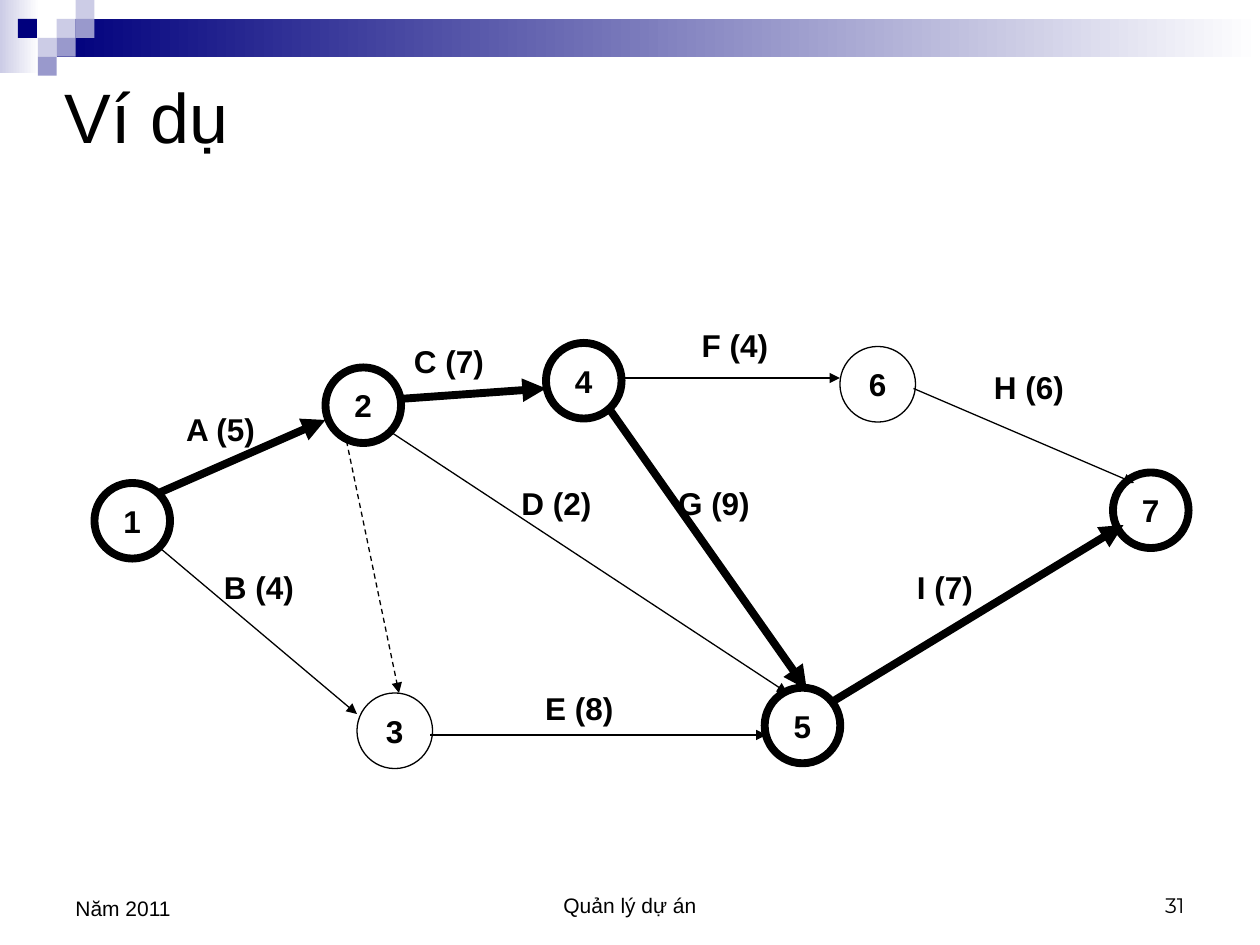
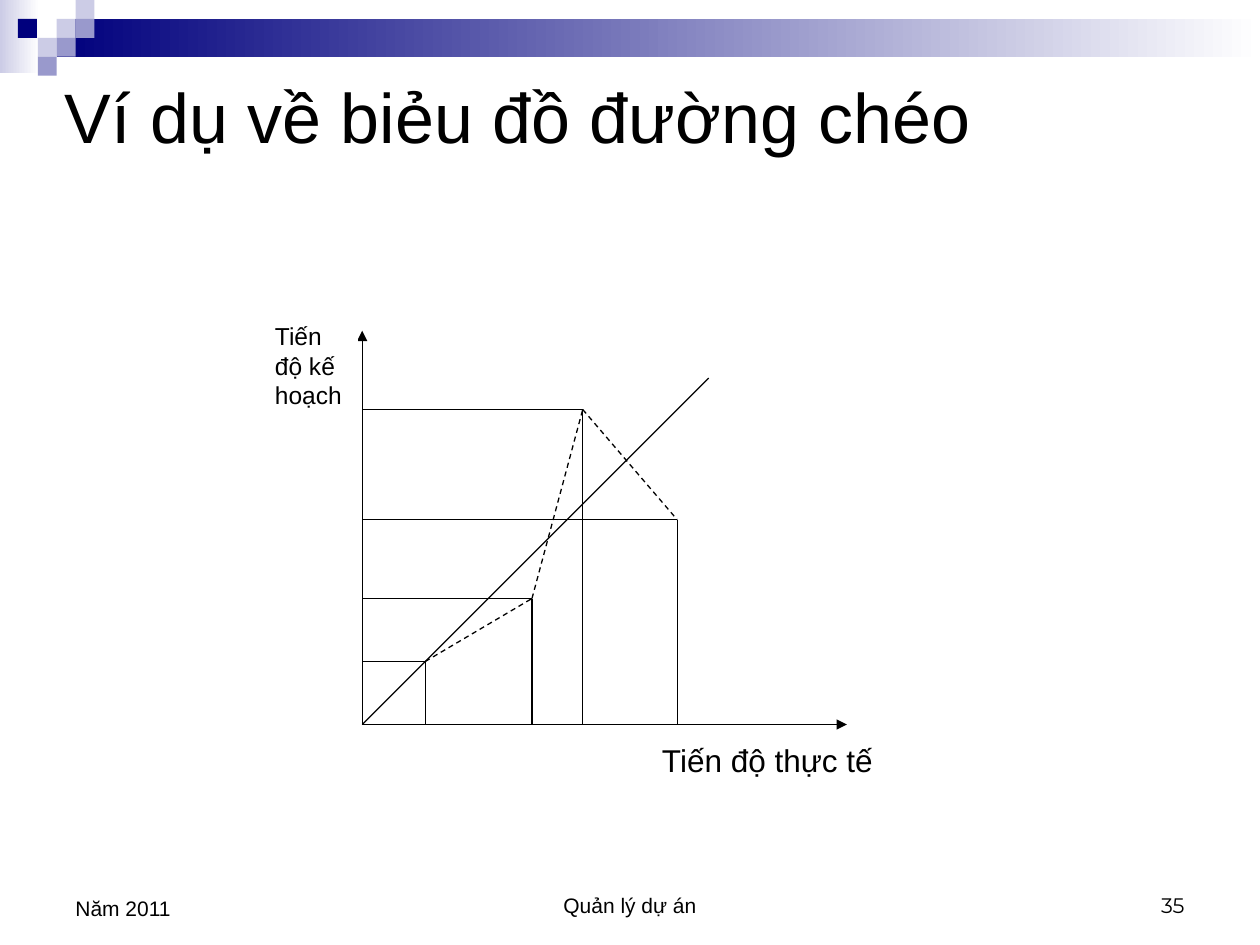
from itertools import pairwise

from lxml.etree import SubElement
from pptx import Presentation
from pptx.dml.color import RGBColor
from pptx.enum.dml import MSO_LINE_DASH_STYLE as Dash
from pptx.enum.shapes import MSO_CONNECTOR_TYPE as Connector, MSO_SHAPE as Shape
from pptx.enum.text import MSO_ANCHOR as Anchor, PP_ALIGN as Align
from pptx.oxml.ns import qn
from pptx.util import Pt

BLACK, WHITE = "000000", "FFFFFF"
NAVY, MID, LIGHT = "00007D", "9999CC", "CCCCE6"
SQUARE = 10.8
THIN, CRITICAL = 0.75, 4.5
NODE_SIZE = 43.2
LABEL_WIDTH = 72

BAND_SQUARES = [
    (3, 1, LIGHT), (4, 0, LIGHT), (4, 1, MID), (2, 2, LIGHT),
    (0.95, 1, NAVY), (3, 2, MID), (2, 3, MID),
]
NODES = [
    ("3", 204, 396, THIN), ("5", 437, 393, CRITICAL),
    ("1", 54, 276, CRITICAL), ("4", 312, 196, CRITICAL),
    ("2", 186, 210, CRITICAL), ("6", 480, 198, THIN),
    ("7", 636, 270, CRITICAL),
]
ACTIVITIES = [
    ((90, 282), (186, 240), CRITICAL, "A (5)", (126, 231)),
    ((90, 312), (204, 408), THIN, "B (4)", (148, 321)),
    ((228, 228), (312, 222), CRITICAL, "C (7)", (256.5, 192)),
    ((222, 246), (450, 396), THIN, "D (2)", (318, 273)),
    ((246, 420), (438, 420), THIN, "E (8)", (331, 390)),
    ((354, 216), (480, 216), THIN, "F (4)", (420, 183)),
    ((347, 232), (461, 394), CRITICAL, "G (9)", (408, 273)),
    ((522, 222), (648, 276), THIN, "H (6)", (588, 207)),
    ((474, 402), (642, 300), CRITICAL, "I (7)", (540, 321)),
]
ORIGIN_X, ORIGIN_Y = 207, 414
AXIS_WIDTH, AXIS_HEIGHT, DIAGONAL = 277, 225, 198
MILESTONES = [(36, 36), (97, 72), (126, 180), (180, 117)]


def color(hex_code):
    return RGBColor.from_string(hex_code)


def write_text(shape, text, size=18, font="Arial", bold=False,
               align=Align.CENTER, anchor=Anchor.TOP, wrap=True):
    frame = shape.text_frame
    frame.word_wrap = wrap
    frame.vertical_anchor = anchor
    paragraph = frame.paragraphs[0]
    paragraph.text = text
    paragraph.alignment = align
    paragraph.font.size = Pt(size)
    paragraph.font.name = font
    paragraph.font.bold = bold
    paragraph.font.color.rgb = color(BLACK)


def add_text(slide, text, left, top, width, height, **text_format):
    box = slide.shapes.add_textbox(Pt(left), Pt(top), Pt(width), Pt(height))
    write_text(box, text, **text_format)


def add_shape(slide, kind, left, top, width, height, fill,
              fade_to=None, line=None, weight=THIN):
    shape = slide.shapes.add_shape(kind, Pt(left), Pt(top), Pt(width), Pt(height))
    shape.shadow.inherit = False
    if fade_to:
        shape.fill.gradient()
        shape.fill.gradient_angle = 0
        for stop, stop_color in zip(shape.fill.gradient_stops, (fill, fade_to)):
            stop.color.rgb = color(stop_color)
    else:
        shape.fill.solid()
        shape.fill.fore_color.rgb = color(fill)
    if line:
        shape.line.color.rgb = color(line)
        shape.line.width = Pt(weight)
    else:
        shape.line.fill.background()
    return shape


def add_line(slide, start, end, weight=THIN, dashed=False, arrow=False):
    connector = slide.shapes.add_connector(
        Connector.STRAIGHT, *(Pt(value) for value in (*start, *end)))
    connector.line.color.rgb = color(BLACK)
    connector.line.width = Pt(weight)
    if dashed:
        connector.line.dash_style = Dash.DASH
    if arrow:
        SubElement(connector.line._get_or_add_ln(), qn("a:tailEnd"), type="triangle")
    SubElement(connector._element.spPr, qn("a:effectLst"))


def add_band(slide):
    add_shape(slide, Shape.RECTANGLE, 0, 0, 22.5, 42, LIGHT, fade_to=WHITE)
    add_shape(slide, Shape.RECTANGLE, 3 * SQUARE, SQUARE, 720 - 3 * SQUARE,
              2 * SQUARE, NAVY, fade_to=WHITE)
    for column, row, fill in BAND_SQUARES:
        add_shape(slide, Shape.RECTANGLE, column * SQUARE, row * SQUARE,
                  SQUARE, SQUARE, fill)


def add_base_slide(presentation, title, number):
    slide = presentation.slides.add_slide(presentation.slide_layouts[6])
    add_band(slide)
    footer = {"size": 12, "anchor": Anchor.BOTTOM}
    add_text(slide, "Quản lý dự án", 246, 492, 228, 36, **footer)
    add_text(slide, number, 516, 492, 168, 36, font="Montserrat",
             align=Align.RIGHT, **footer)
    add_text(slide, "Năm 2011", 36, 492, 168, 37.5, align=Align.LEFT, **footer)
    add_text(slide, title, 30, 12, 648, 108, size=40, align=Align.LEFT,
             anchor=Anchor.MIDDLE)
    return slide


def add_node(slide, name, left, top, weight):
    node = add_shape(slide, Shape.OVAL, left, top, NODE_SIZE, NODE_SIZE,
                     WHITE, line=BLACK, weight=weight)
    write_text(node, name, bold=True, anchor=Anchor.MIDDLE, wrap=False)


def add_network(slide):
    for node in NODES:
        add_node(slide, *node)
    for start, end, weight, label, (center, top) in ACTIVITIES:
        add_line(slide, start, end, weight, arrow=True)
        add_text(slide, label, center - LABEL_WIDTH / 2, top, LABEL_WIDTH, 29,
                 bold=True, wrap=False)
    add_line(slide, (198, 252), (228, 396), dashed=True, arrow=True)


def plot_point(actual, planned):
    return ORIGIN_X + actual, ORIGIN_Y - planned


def add_diagonal_diagram(slide):
    origin = plot_point(0, 0)
    add_line(slide, origin, plot_point(0, AXIS_HEIGHT), arrow=True)
    add_line(slide, origin, plot_point(AXIS_WIDTH, 0), arrow=True)
    add_line(slide, origin, plot_point(DIAGONAL, DIAGONAL))
    for actual, planned in MILESTONES:
        milestone = plot_point(actual, planned)
        add_line(slide, plot_point(0, planned), milestone)
        add_line(slide, milestone, plot_point(actual, 0))
    for start, end in pairwise(MILESTONES):
        add_line(slide, plot_point(*start), plot_point(*end), dashed=True)
    planned_label = add_shape(slide, Shape.RECTANGLE, 150, 180, 54, 90,
                              WHITE, line=WHITE)
    write_text(planned_label, "Tiến độ kế hoạch", size=14, align=Align.LEFT)
    add_text(slide, "Tiến độ thực tế", 366, 420, 145, 29)


def main():
    presentation = Presentation()
    presentation.slide_width, presentation.slide_height = Pt(720), Pt(540)
    add_network(add_base_slide(presentation, "Ví dụ", "31"))
    add_diagonal_diagram(
        add_base_slide(presentation, "Ví dụ về biẻu đồ đường chéo", "35"))
    presentation.save("out.pptx")


if __name__ == "__main__":
    main()
